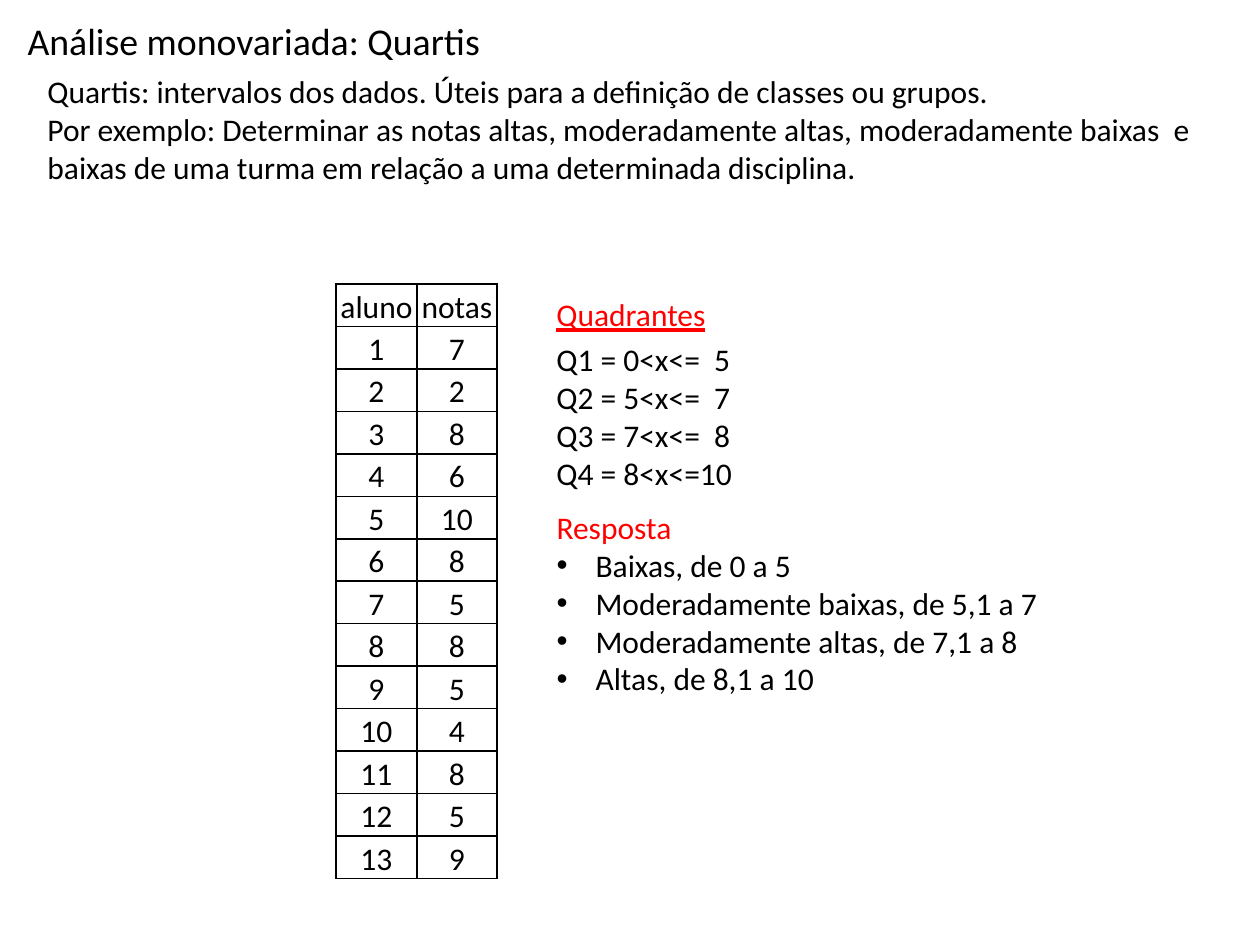
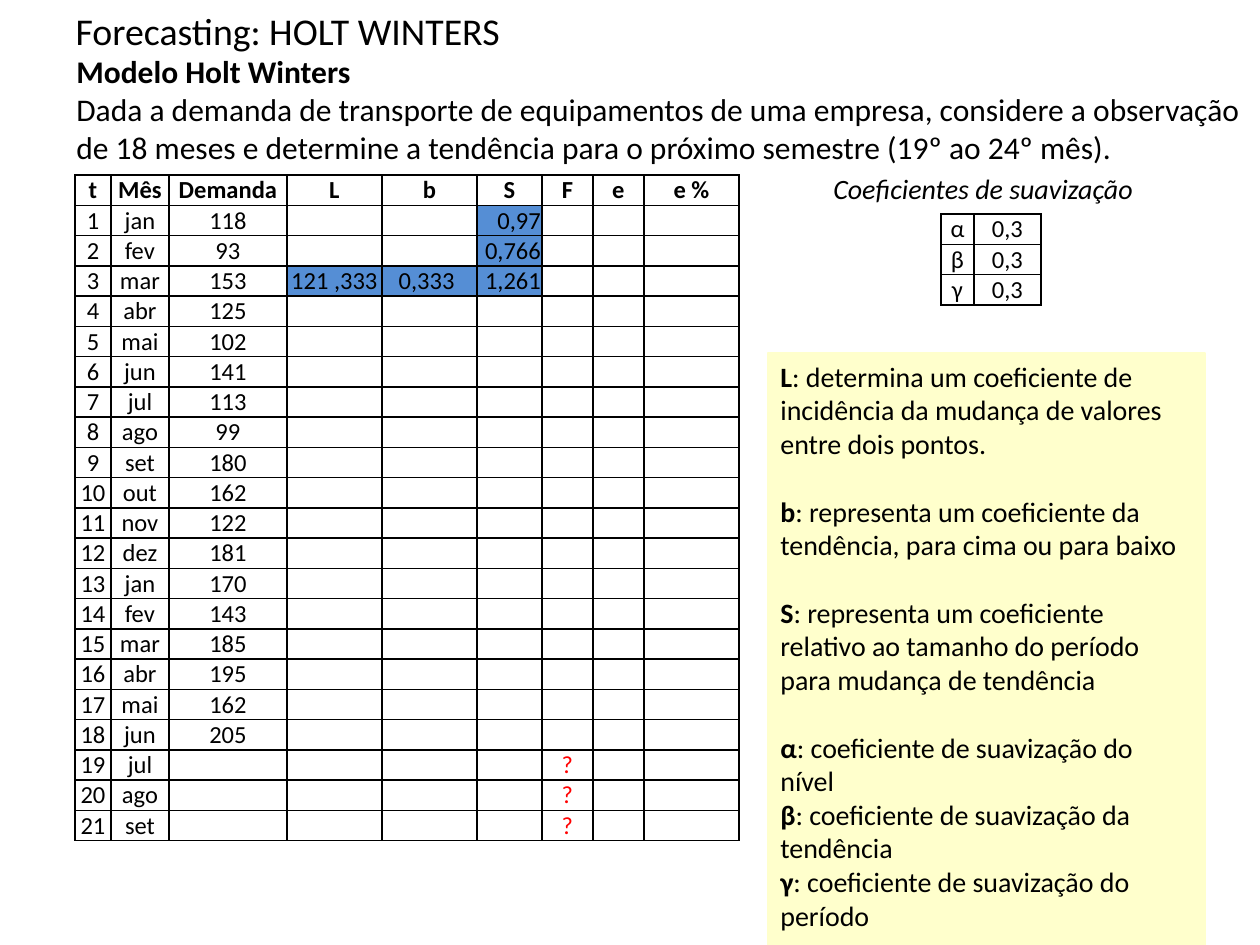
from itertools import cycle, islice

from lxml.etree import SubElement
from pptx import Presentation
from pptx.dml.color import RGBColor
from pptx.enum.shapes import MSO_SHAPE
from pptx.enum.text import MSO_ANCHOR, PP_ALIGN
from pptx.oxml.ns import qn
from pptx.util import Emu, Pt

SCALE = 914400 // 126
FONT = "Calibri"
COLORS = {"text": "000000", "accent": "FF0000", "known": "558ED5", "note": "FFFFCC"}
TITLE_ONLY, TITLE_AND_BODY = 5, 1


def px(length):
    """Turn pixels into EMU."""
    return Emu(round(length * SCALE))


def rgb(name):
    """Look up a named colour."""
    return RGBColor.from_string(COLORS[name])


def style(para, size, color="text", **flags):
    """Format every run of a paragraph."""
    for span in para.runs:
        span.font.name = FONT
        span.font.size = Pt(size)
        span.font.color.rgb = rgb(color)
        for flag, value in flags.items():
            setattr(span.font, flag, value)


def place(shape, box):
    """Move a shape to a pixel box."""
    shape.left, shape.top, shape.width, shape.height = map(px, box)


def add_title(page, box, text):
    """Fill and place the title placeholder."""
    title = page.shapes.title
    place(title, box)
    frame = title.text_frame
    frame.text = text
    frame.vertical_anchor = MSO_ANCHOR.MIDDLE
    frame.paragraphs[0].alignment = PP_ALIGN.LEFT
    style(frame.paragraphs[0], 21.6)


def add_text(page, box, lines, size=18, color="text", wrap=False, **flags):
    """Add a text box with one style and return its paragraphs."""
    frame = page.shapes.add_textbox(*map(px, box)).text_frame
    frame.word_wrap = wrap
    frame.text = "\n".join(lines)
    for para in frame.paragraphs:
        style(para, size, color, **flags)
    return frame.paragraphs


def add_answer(page, box, heading, items):
    """Fill the body placeholder with a heading and a bulleted list."""
    body = page.placeholders[1]
    place(body, box)
    frame = body.text_frame
    frame.word_wrap = False
    frame.text = "\n".join([heading, *items])
    for index, para in enumerate(frame.paragraphs):
        para.space_before = Pt(0)
        style(para, 18, "text" if index else "accent")
        indent = px(39) if index else 0
        props = para._p.get_or_add_pPr()
        props.set("marL", str(indent))
        props.set("indent", str(-indent))
        if index:
            SubElement(props, qn("a:buFont"), typeface="Arial")
            SubElement(props, qn("a:buChar"), char="•")
        else:
            SubElement(props, qn("a:buNone"))


def add_borders(cell):
    """Draw thin lines on all four sides of a cell."""
    props = cell._tc.get_or_add_tcPr()
    for side in ("lnL", "lnR", "lnT", "lnB"):
        line = SubElement(props, qn(f"a:{side}"), w=str(Pt(1)))
        fill = SubElement(line, qn("a:solidFill"))
        SubElement(fill, qn("a:srgbClr"), val=COLORS["text"])


def add_grid(page, corner, widths, height, rows, size):
    """Add a ruled table with centred text and return it."""
    box = (*corner, sum(widths), height)
    table = page.shapes.add_table(len(rows), len(widths), *map(px, box)).table
    table.first_row = table.horz_banding = False
    for column, width in zip(table.columns, widths):
        column.width = px(width)
    for line, values in zip(table.rows, rows):
        line.height = px(height / len(rows))
        for cell, value in zip(line.cells, values):
            cell.margin_left = cell.margin_right = px(1)
            cell.margin_top = cell.margin_bottom = 0
            cell.vertical_anchor = MSO_ANCHOR.BOTTOM
            add_borders(cell)
            cell.fill.background()
            para = cell.text_frame.paragraphs[0]
            para.alignment = PP_ALIGN.CENTER
            if value:
                para.text = str(value)
                style(para, size)
            else:
                SubElement(para._p, qn("a:endParaRPr"), sz=str(size * 100))
    return table


def add_forecast(page, corner):
    """Add the demand table with its starting coefficients."""
    header = ["t", "Mês", "Demanda", "L", "b", "S", "F", "e", "e %"]
    months = "jan fev mar abr mai jun jul ago set out nov dez".split()
    demand = [118, 93, 153, 125, 102, 141, 113, 99, 180,
              162, 122, 181, 170, 143, 185, 195, 162, 205]
    known = {(1, 5): "0,97", (2, 5): "0,766", (3, 3): "121\u00a0,333",
             (3, 4): "0,333\u00a0", (3, 5): "1,261"}
    rows = [header]
    for period, month in enumerate(islice(cycle(months), 21), 1):
        past = period <= len(demand)
        row = [period, month, demand[period - 1] if past else ""] + [""] * 6
        row[6] = "" if past else "?"
        rows.append(row)
    for (row, column), value in known.items():
        rows[row][column] = value
    widths = [36, 58, 118, 95, 95, 65, 51, 51, 95]
    table = add_grid(page, corner, widths, 666, rows, 14)
    for cell in table.rows[0].cells:
        style(cell.text_frame.paragraphs[0], 14, bold=True)
    for row, column in known:
        cell = table.cell(row, column)
        cell.fill.solid()
        cell.fill.fore_color.rgb = rgb("known")
        if column == 5:
            cell.text_frame.paragraphs[0].alignment = PP_ALIGN.RIGHT
    for row in range(len(demand) + 1, len(rows)):
        style(table.cell(row, 6).text_frame.paragraphs[0], 14, "accent")


def add_glossary(page, box, entries):
    """Add the note that explains each symbol."""
    note = page.shapes.add_shape(MSO_SHAPE.RECTANGLE, *map(px, box))
    note.shadow.inherit = False
    note.fill.solid()
    note.fill.fore_color.rgb = note.line.color.rgb = rgb("note")
    note.line.width = Pt(0.75)
    frame = note.text_frame
    frame.word_wrap = True
    frame.vertical_anchor = MSO_ANCHOR.TOP
    frame.text = "\n".join(symbol for symbol, _, _ in entries)
    for para, (_, meaning, gap) in zip(frame.paragraphs, entries):
        para.alignment = PP_ALIGN.LEFT
        para.space_before = Pt(gap)
        para.add_run().text = f": {meaning}"
        style(para, 16)
        para.runs[0].font.bold = True


def build_quartiles(deck):
    """Build the slide on quartiles."""
    page = deck.slides.add_slide(deck.slide_layouts[TITLE_AND_BODY])
    add_title(page, (15, 16, 1230, 49), "Análise monovariada: Quartis")
    add_text(page, (35, 66, 1181, 127), [
        "Quartis: intervalos dos dados. Úteis para a definição de classes ou grupos.",
        "Por exemplo: Determinar as notas altas, moderadamente altas, moderadamente "
        "baixas  e baixas de uma turma em relação a uma determinada disciplina.",
    ], wrap=True)
    grades = [7, 2, 8, 6, 10, 8, 5, 8, 5, 4, 8, 5, 9]
    rows = [("aluno", "notas"), *enumerate(grades, 1)]
    add_grid(page, (336, 284), [81, 80], 595, rows, 18)
    left = 544
    add_text(page, (left, 289, 176, 50), ["Quadrantes"], color="accent", underline=True)
    add_text(page, (left, 334, 203, 165), [
        "Q1 = 0<x<=  5", "Q2 = 5<x<=  7", "Q3 = 7<x<=  8", "Q4 = 8<x<=10"])
    add_answer(page, (left, 502, 512, 204), "Resposta", [
        "Baixas, de 0 a 5", "Moderadamente baixas, de 5,1 a 7",
        "Moderadamente altas, de 7,1 a 8", "Altas, de 8,1 a 10"])


def build_holt_winters(deck):
    """Build the slide on the Holt Winters model."""
    page = deck.slides.add_slide(deck.slide_layouts[TITLE_ONLY])
    add_title(page, (63, 6, 1134, 49), "Forecasting: HOLT WINTERS")
    intro = add_text(page, (64, 46, 1196, 127), [
        "Modelo Holt Winters",
        "Dada a demanda de transporte de equipamentos de uma empresa, considere a "
        "observação de 18 meses e determine a tendência para o próximo semestre "
        "(19º ao 24º mês).",
    ], wrap=True)
    style(intro[0], 18, bold=True)
    add_forecast(page, (75, 175))
    add_glossary(page, (768, 353, 437, 592), [
        ("L", "determina um coeficiente de incidência da mudança de valores "
              "entre dois pontos.", 0),
        ("b", "representa um coeficiente da tendência, para cima ou para baixo", 19.5),
        ("S", "representa um coeficiente relativo ao tamanho do período para "
              "mudança de tendência", 19.5),
        ("α", "coeficiente de suavização do nível", 19.5),
        ("β", "coeficiente de suavização da tendência", 0),
        ("γ", "coeficiente de suavização do período", 0),
    ])
    add_grid(page, (941, 214), [33, 67], 91, [(symbol, "0,3") for symbol in "αβγ"], 14)
    add_text(page, (821, 165, 329, 47), ["Coeficientes de suavização"], 16, italic=True)


def main():
    """Build and save the deck."""
    deck = Presentation()
    deck.slide_width, deck.slide_height = px(1260), px(945)
    build_quartiles(deck)
    build_holt_winters(deck)
    deck.save("out.pptx")


main()
